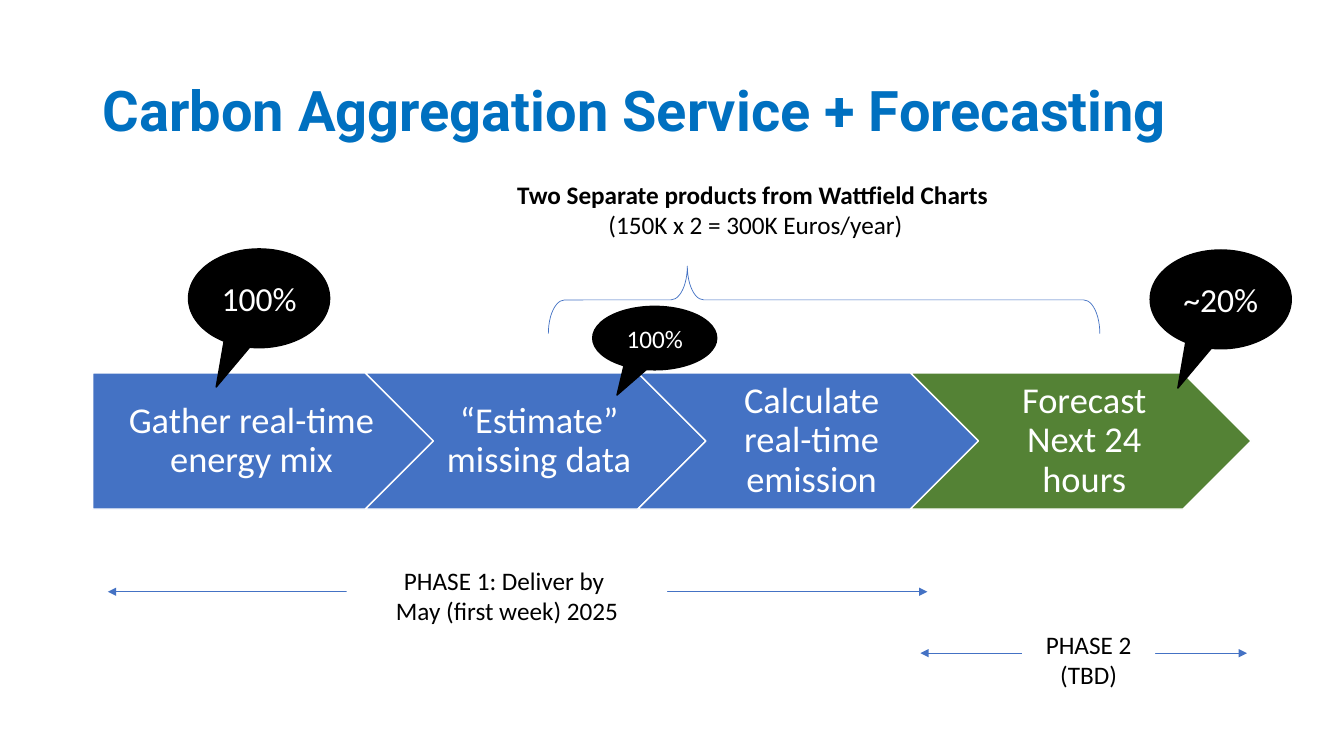
from lxml import etree
from pptx import Presentation
from pptx.dml.color import RGBColor
from pptx.enum.shapes import MSO_CONNECTOR, MSO_SHAPE
from pptx.enum.text import MSO_ANCHOR, MSO_AUTO_SIZE, PP_ALIGN
from pptx.oxml.ns import qn
from pptx.util import Inches, Pt

WIDTH, HEIGHT = Inches(13.33), Inches(7.5)
TITLE_ONLY_LAYOUT = 5
PENTAGON, CHEVRON = MSO_SHAPE.PENTAGON, MSO_SHAPE.CHEVRON
CALLOUT, BRACE = MSO_SHAPE.OVAL_CALLOUT, MSO_SHAPE.LEFT_BRACE
RECTANGLE = MSO_SHAPE.RECTANGLE
STRAIGHT = MSO_CONNECTOR.STRAIGHT
LEFT, CENTER = PP_ALIGN.LEFT, PP_ALIGN.CENTER
TOP, MIDDLE = MSO_ANCHOR.TOP, MSO_ANCHOR.MIDDLE

BLUE, GREEN, TITLE_BLUE = "4472C4", "548235", "0070C0"
BLACK, WHITE = "000000", "FFFFFF"

# Process row, in percent of the slide; each step starts 80% of a step further
STEP_LEFT, STEP_TOP, STEP_WIDTH, STEP_HEIGHT = 6.9, 49.33, 25.35, 18
STEP_PITCH = 0.8 * STEP_WIDTH
STEPS = [
    ("Gather real-time energy mix", PENTAGON, BLUE, 0.15),
    ("“Estimate” missing data", CHEVRON, BLUE, 0.11),
    ("Calculate real-time emission", CHEVRON, BLUE, 0.11),
    ("Forecast Next 24 hours", CHEVRON, GREEN, 0.11),
]
# Arrow start, end and height, then label text and box
PHASES = [
    (8.03, 69, 78.27, ["PHASE 1: Deliver by ", "May (first week) 2025"],
     (25.8, 74.13, 23.85, 9.47)),
    (68.48, 92.78, 86.4, ["PHASE 2 (TBD)"], (76.05, 82.53, 9.9, 9.47)),
]
LARGE_CALLOUTS = [("100%", (14.03, 32.93, 10.5, 13.07)),
                  ("~20%", (85.58, 33.07, 10.5, 13.07))]
SMALL_CALLOUT = ("100%", (44.1, 40.53, 9.23, 8.4))


def color(value):
    return RGBColor.from_string(value)


def across(percent):
    return round(WIDTH * percent / 100)


def down(percent):
    return round(HEIGHT * percent / 100)


def place(box):
    left, top, width, height = box
    return across(left), down(top), across(width), down(height)


def set_attributes(target, values):
    for name, value in values.items():
        setattr(target, name, value)


def write(shape, lines, size, text_color, font="Calibri", bold=False,
          align=CENTER, spacing=1.0, **frame_format):
    frame = shape.text_frame
    set_attributes(frame, {"word_wrap": True, "vertical_anchor": MIDDLE,
                           **frame_format})
    frame.text = "\n".join(lines)
    for paragraph in frame.paragraphs:
        set_attributes(paragraph, {"alignment": align, "line_spacing": spacing})
        for run in paragraph.runs:
            set_attributes(run.font, {"name": font, "size": Pt(size), "bold": bold})
            run.font.color.rgb = color(text_color)


def add_shape(slide, kind, box, fill=None, line=None, line_width=1):
    shape = slide.shapes.add_shape(kind, *place(box))
    shape.shadow.inherit = False
    if fill:
        shape.fill.solid()
        shape.fill.fore_color.rgb = color(fill)
    else:
        shape.fill.background()
    if line:
        shape.line.color.rgb = color(line)
        shape.line.width = Pt(line_width)
    else:
        shape.line.fill.background()
    return shape


def add_title(slide, text):
    title = slide.shapes.title
    left, top, width, height = place((6.9, 5.33, 86.25, 19.33))
    set_attributes(title, {"left": left, "top": top,
                           "width": width, "height": height})
    write(title, [text], 40, TITLE_BLUE, font="Roboto", bold=True, align=LEFT,
          spacing=0.9, auto_size=MSO_AUTO_SIZE.NONE)


def add_step(slide, index, text, kind, fill, inset):
    box = (STEP_LEFT + index * STEP_PITCH, STEP_TOP, STEP_WIDTH, STEP_HEIGHT)
    step = add_shape(slide, kind, box, fill, WHITE)
    write(step, [text], 26, WHITE, spacing=0.9, margin_left=Inches(inset),
          margin_right=Inches(0.04), margin_top=Inches(0.08),
          margin_bottom=Inches(0.08))


def add_double_arrow(slide, start, end, height):
    arrow = slide.shapes.add_connector(
        STRAIGHT, across(start), down(height), across(end), down(height))
    arrow.line.color.rgb = color(BLUE)
    arrow.line.width = Pt(0.5)
    properties = arrow.line._get_or_add_ln()
    for tag in ("a:headEnd", "a:tailEnd"):
        etree.SubElement(properties, qn(tag), type="triangle")
    etree.SubElement(arrow._element.spPr, qn("a:effectLst"))


def add_label(slide, lines, box):
    label = add_shape(slide, RECTANGLE, box, WHITE)
    write(label, lines, 18, BLACK, vertical_anchor=TOP)
    return label


def add_callout(slide, text, box, size):
    callout = add_shape(slide, CALLOUT, box, BLACK, BLACK)
    callout.adjustments[0] = -0.304
    callout.adjustments[1] = 0.898
    write(callout, [text], size, WHITE)


def add_brace(slide, box):
    brace = add_shape(slide, BRACE, box, line=BLUE, line_width=0.5)
    brace.rotation = 90
    brace.adjustments[0] = 0.242
    brace.adjustments[1] = 0.748


def main():
    presentation = Presentation()
    set_attributes(presentation, {"slide_width": WIDTH, "slide_height": HEIGHT})
    slide = presentation.slides.add_slide(
        presentation.slide_layouts[TITLE_ONLY_LAYOUT])
    add_title(slide, "Carbon Aggregation Service + Forecasting")

    # Process steps
    for index, step in enumerate(STEPS):
        add_step(slide, index, *step)

    # Delivery phases
    for start, end, height, lines, box in PHASES:
        add_double_arrow(slide, start, end, height)
        add_label(slide, lines, box)

    # Coverage callouts and cost note
    for text, box in LARGE_CALLOUTS:
        add_callout(slide, text, box, 24)
    add_brace(slide, (58.8, 3.2, 5.03, 72.93))
    note = add_label(slide, ["Two Separate products from Wattfield Charts ",
                             "(150K x 2 = 300K Euros/year)"],
                     (35.7, 23.07, 41.03, 9.47))
    note.text_frame.paragraphs[0].runs[0].font.bold = True
    add_callout(slide, *SMALL_CALLOUT, 18)

    presentation.save("out.pptx")


if __name__ == "__main__":
    main()
